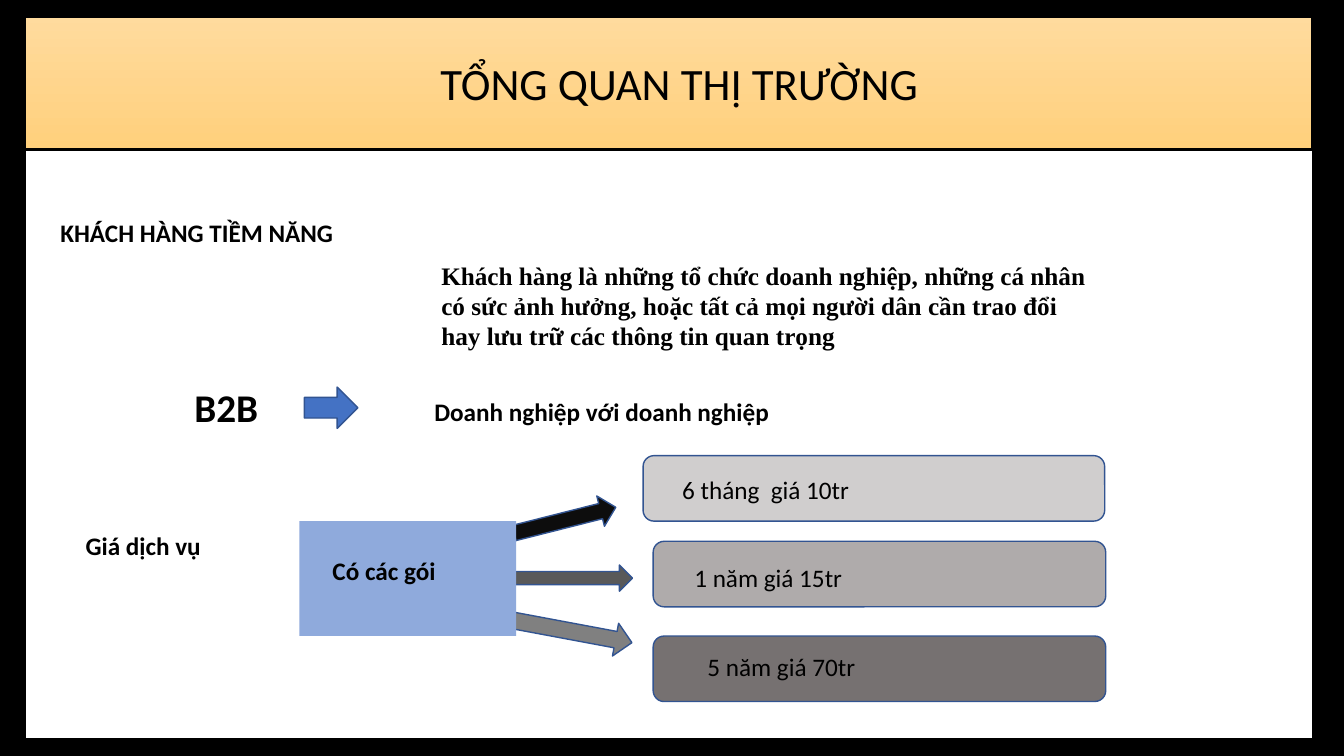
from pptx import Presentation
from pptx import util as u
from pptx.dml.color import RGBColor
from pptx.enum import shapes, text

BLACK = RGBColor(0x00, 0x00, 0x00)
NAVY = RGBColor(0x32, 0x54, 0x91)
BLUE = RGBColor(0x44, 0x72, 0xC4)
SKY = RGBColor(0x8F, 0xAA, 0xDC)
PEACH = RGBColor(0xFF, 0xDB, 0x9E)
AMBER = RGBColor(0xFF, 0xD0, 0x7C)
INK = RGBColor(0x0D, 0x0D, 0x0D)
CHARCOAL = RGBColor(0x59, 0x59, 0x59)
GREY = RGBColor(0x80, 0x80, 0x80)
SILVER = RGBColor(0xD0, 0xCE, 0xCE)
ASH = RGBColor(0xAF, 0xAB, 0xAB)
STONE = RGBColor(0x76, 0x71, 0x71)
SHAPE = shapes.MSO_SHAPE


class Deck:
    """Draws styled elements on a slide divided into 160 columns and 90 rows."""

    columns, rows = 160, 90
    font, size = "Calibri", 18

    def __init__(self):
        self.prs = Presentation()
        self.prs.slide_width = u.Inches(13.33)
        self.prs.slide_height = u.Inches(7.5)
        self.s = self.prs.slides.add_slide(self.prs.slide_layouts[6])

    def x(self, columns):
        return round(self.prs.slide_width * columns / self.columns)

    def y(self, rows):
        return round(self.prs.slide_height * rows / self.rows)

    def place(self, left, top, width, height):
        return self.x(left), self.y(top), self.x(width), self.y(height)

    def paint(self, sp, fill, line=None, weight=1):
        sp.shadow.inherit = False
        if isinstance(fill, tuple) and not isinstance(fill, RGBColor):
            sp.fill.gradient()
            sp.fill.gradient_angle = 270
            for stop, color in zip(sp.fill.gradient_stops, fill):
                stop.color.rgb = color
        else:
            sp.fill.solid()
            sp.fill.fore_color.rgb = fill
        if line is None:
            sp.line.fill.background()
        else:
            sp.line.color.rgb = line
            sp.line.width = u.Pt(weight)

    def shape(self, kind, box, fill, line=None, weight=1, rotation=0):
        sp = self.s.shapes.add_shape(kind, *self.place(*box))
        sp.rotation = rotation
        self.paint(sp, fill, line, weight)

    def frame(self, left, top, right, bottom):
        w, h = self.columns, self.rows
        fb = self.s.shapes.build_freeform(self.x(left), self.y(top))
        inner = [(left, bottom), (right, bottom), (right, top)]
        fb.add_line_segments([(self.x(a), self.y(b)) for a, b in inner])
        fb.move_to(0, 0)
        outer = [(w, 0), (w, h), (0, h)]
        fb.add_line_segments([(self.x(a), self.y(b)) for a, b in outer])
        self.paint(fb.convert_to_shape(), BLACK, BLACK)

    def text(self, words, box, size=size, bold=True, font=font, align=None):
        tf = self.s.shapes.add_textbox(*self.place(*box)).text_frame
        tf.word_wrap = True
        tf.auto_size = text.MSO_AUTO_SIZE.SHAPE_TO_FIT_TEXT
        tf.text = words
        p = tf.paragraphs[0]
        p.alignment = align
        r = p.runs[0]
        r.font.name = font
        r.font.size = u.Pt(size)
        r.font.bold = bold
        r.font.color.rgb = BLACK

    def save(self):
        self.prs.save("out.pptx")


def main():
    deck = Deck()

    arrows = [
        ((65.52, 67.2, 3.96, 15.72), GREY, 280.6),
        ((65.76, 60.84, 3.12, 15.96), CHARCOAL, 270),
        ((65.4, 55.68, 3.72, 12.48), INK, 255.8),
    ]
    for box, fill, rotation in arrows:
        deck.shape(SHAPE.DOWN_ARROW, box, fill, NAVY, rotation=rotation)
    deck.shape(SHAPE.RECTANGLE, (35.64, 62.04, 25.8, 13.68), SKY)
    deck.shape(SHAPE.RECTANGLE, (2.76, 1.8, 153.48, 15.96),
               (PEACH, AMBER), BLACK, 2.25)
    deck.frame(3, 2.04, 156.24, 87.96)

    deck.text("TỔNG QUAN THỊ TRƯỜNG ", (36.24, 6, 90.48, 7.68), 32, False,
              align=text.PP_ALIGN.CENTER)
    deck.text("KHÁCH HÀNG TIỀM NĂNG", (6, 25.32, 40.92, 4.8))
    deck.text("Khách hàng là những tổ chức doanh nghiệp, những cá nhân có sức "
              "ảnh hưởng, hoặc tất cả mọi người dân cần trao đổi hay lưu trữ "
              "các thông tin quan trọng",
              (51.36, 30.36, 80.04, 12.12), font="Times New Roman")
    deck.text("B2B", (21.96, 45, 14.28, 6.84), 28)
    deck.shape(SHAPE.RIGHT_ARROW, (36.24, 46.08, 6.36, 4.92), BLUE, NAVY)
    deck.text("Doanh nghiệp với doanh nghiệp", (50.52, 46.56, 54.12, 4.8))
    deck.text("Giá dịch vụ", (9, 62.52, 40.92, 4.8))
    deck.text("Có các gói", (38.4, 65.52, 22.92, 4.8))

    packages = [
        ("6 tháng  giá 10tr", (76.56, 54.24, 54.96, 7.8), SILVER, 80.04, 55.92),
        ("1 năm giá 15tr", (77.76, 64.44, 53.88, 7.8), ASH, 81.48, 66.36),
        ("5 năm giá 70tr", (77.76, 75.72, 53.88, 7.8), STONE, 83.04, 76.92),
    ]
    for words, box, fill, left, top in packages:
        deck.shape(SHAPE.ROUNDED_RECTANGLE, box, fill, NAVY)
        deck.text(words, (left, top, 49.56, 4.8), bold=False)

    deck.save()


if __name__ == "__main__":
    main()
